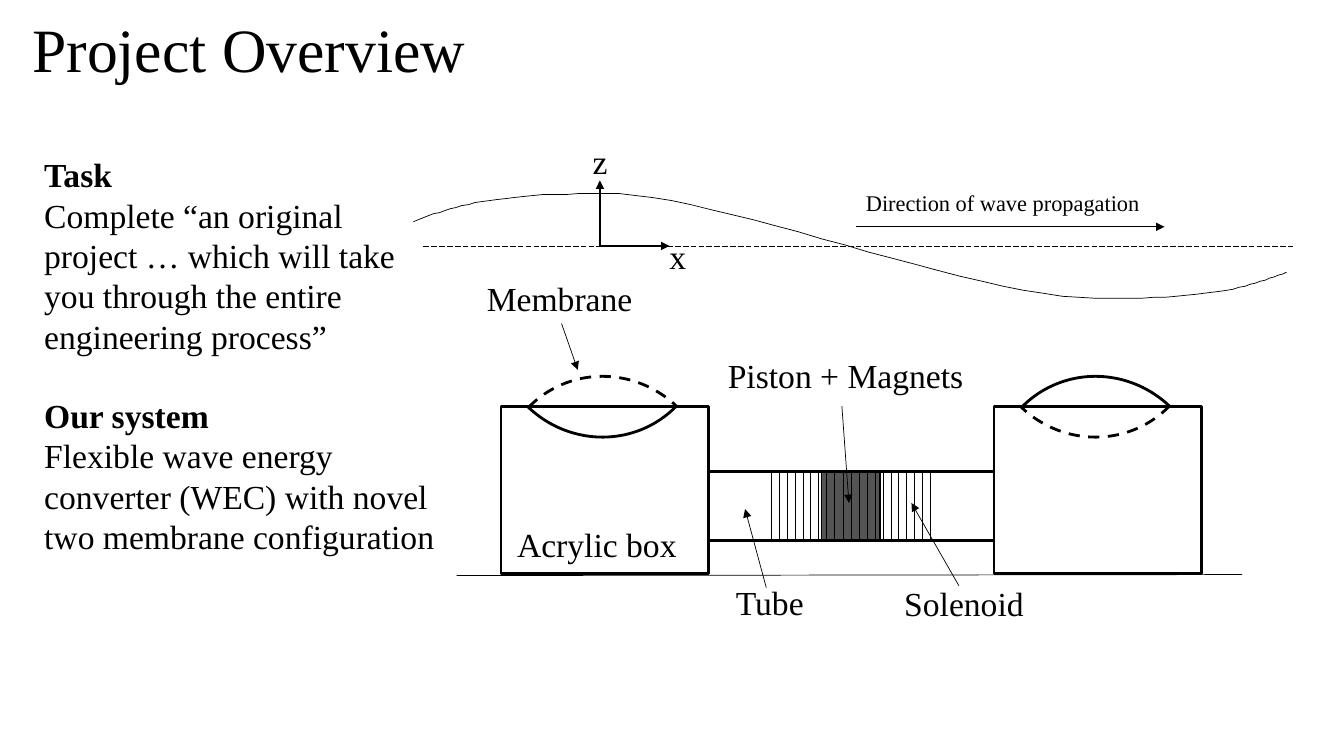
from dataclasses import dataclass

from lxml.etree import SubElement
from pptx import Presentation
from pptx.dml.color import RGBColor
from pptx.enum.dml import MSO_LINE
from pptx.enum.shapes import MSO_CONNECTOR, MSO_SHAPE
from pptx.enum.text import MSO_ANCHOR, MSO_AUTO_SIZE, PP_ALIGN
from pptx.oxml.ns import qn
from pptx.shapes.autoshape import Shape
from pptx.slide import Slide
from pptx.text.text import TextFrame
from pptx.util import Emu, Pt

PX = 9144  # EMU in one px, 100 px to the inch


@dataclass(frozen=True)
class Theme:
    font: str = "Times New Roman"
    ink: RGBColor = RGBColor(0, 0, 0)
    title_size: int = 44
    body_size: int = 24
    caption_size: int = 16
    thin: float = 0.5
    medium: float = 1
    thick: float = 2
    magnet_opacity: int = 67


THEME = Theme()


@dataclass(frozen=True)
class Box:
    left: int
    top: int
    width: int
    height: int

    def emu(self) -> tuple[Emu, ...]:
        return tuple(Emu(v * PX) for v in (self.left, self.top, self.width, self.height))


@dataclass(frozen=True)
class Label:
    box: Box
    text: str
    size: int = THEME.body_size
    bold_heading: bool = False


@dataclass(frozen=True)
class Stroke:
    start: tuple[int, int]
    end: tuple[int, int]
    weight: float = THEME.thin
    arrow: bool = False
    dash: MSO_LINE | None = None


@dataclass(frozen=True)
class Outline:
    box: Box
    kind: MSO_SHAPE = MSO_SHAPE.RECTANGLE
    rotation: float = 0
    weight: float = THEME.thick
    dash: MSO_LINE | None = None


TUBE = Outline(Box(703, 468, 283, 68))
MAGNETS = Outline(Box(815, 468, 58, 68), weight=THEME.medium)
UPPER_TURN, LOWER_TURN = 314.4, 133.8


def acrylic_box(left: int, raised_dash: MSO_LINE | None,
                sunken_dash: MSO_LINE | None) -> list[Outline]:
    """A box with its membrane in the raised and the sunken position."""
    return [
        Outline(Box(left, 403, 206, 166)),
        Outline(Box(left, 372, 206, 211), MSO_SHAPE.ARC, UPPER_TURN, dash=raised_dash),
        Outline(Box(left - 5, 224, 206, 211), MSO_SHAPE.ARC, LOWER_TURN, dash=sunken_dash),
    ]


OUTLINES = [TUBE, *acrylic_box(497, MSO_LINE.DASH, None), *acrylic_box(986, None, MSO_LINE.DASH)]

COIL_FIRST, COIL_LAST, COIL_TURNS = 765, 923, 21
COIL_XS = [round(COIL_FIRST + i * (COIL_LAST - COIL_FIRST) / (COIL_TURNS - 1))
           for i in range(COIL_TURNS)]
COIL = [Stroke((x, 467), (x, 535)) for x in COIL_XS]

ORIGIN = (595, 244)
STROKES = [
    Stroke((1232, 570), (453, 571)),  # sea floor
    Stroke(ORIGIN, (664, 244), THEME.thick, arrow=True),
    Stroke(ORIGIN, (595, 179), THEME.thick, arrow=True),
    Stroke((420, 244), (1282, 244), dash=MSO_LINE.LONG_DASH),  # still water
    Stroke((849, 225), (1155, 225), arrow=True),  # propagation
]
POINTERS = [
    Stroke((760, 583), (739, 505), arrow=True),  # tube
    Stroke((557, 321), (573, 367), arrow=True),  # membrane
    Stroke((951, 581), (904, 499), arrow=True),  # solenoid
    Stroke((835, 403), (842, 499), arrow=True),  # magnets
]

WAVE_START = (410, 220)
WAVE_CURVES = [
    ((450, 204), (489, 192), (600, 192)),
    ((710, 191), (961, 295), (1088, 296)),
    ((1215, 297), (1242, 282), (1276, 270)),
]
WAVE_STEPS = 24

LABELS = [
    Label(Box(34, 148, 407, 212),
          "Task\nComplete “an original project … which will take you through "
          "the entire engineering process”", bold_heading=True),
    Label(Box(34, 387, 407, 172),
          "Our system\nFlexible wave energy converter (WEC) with novel\n"
          "two membrane configuration", bold_heading=True),
    Label(Box(720, 572, 94, 54), "Tube"),
    Label(Box(503, 515, 193, 54), "Acrylic box"),
    Label(Box(473, 271, 178, 54), "Membrane"),
    Label(Box(654, 229, 26, 54), "x"),
    Label(Box(578, 135, 24, 54), "z"),
    Label(Box(849, 183, 317, 40), "Direction of wave propagation", THEME.caption_size),
    Label(Box(887, 573, 150, 54), "Solenoid"),
    Label(Box(712, 347, 275, 54), "Piston + Magnets"),
]


def style_text(frame: TextFrame, size: int) -> None:
    frame.word_wrap = True
    for paragraph in frame.paragraphs:
        paragraph.alignment = PP_ALIGN.LEFT
        for run in paragraph.runs:
            run.font.name = THEME.font
            run.font.size = Pt(size)
            run.font.color.rgb = THEME.ink


def add_title(slide: Slide, text: str, box: Box) -> None:
    title = slide.shapes.title
    title.left, title.top, title.width, title.height = box.emu()
    frame = title.text_frame
    frame.text = text
    frame.auto_size = MSO_AUTO_SIZE.NONE
    frame.vertical_anchor = MSO_ANCHOR.MIDDLE
    frame.paragraphs[0].line_spacing = 0.9
    style_text(frame, THEME.title_size)


def add_label(slide: Slide, label: Label) -> None:
    frame = slide.shapes.add_textbox(*label.box.emu()).text_frame
    frame.text = label.text
    frame.auto_size = MSO_AUTO_SIZE.SHAPE_TO_FIT_TEXT
    style_text(frame, label.size)
    if label.bold_heading:
        frame.paragraphs[0].runs[0].font.bold = True


def ink_outline(shape: Shape, weight: float, dash: MSO_LINE | None = None) -> None:
    shape.shadow.inherit = False
    shape.fill.background()
    shape.line.color.rgb = THEME.ink
    shape.line.width = Pt(weight)
    if dash is not None:
        shape.line.dash_style = dash


def add_outline(slide: Slide, outline: Outline) -> Shape:
    shape = slide.shapes.add_shape(outline.kind, *outline.box.emu())
    shape.rotation = outline.rotation
    ink_outline(shape, outline.weight, outline.dash)
    return shape


def add_magnets(slide: Slide) -> None:
    magnets = add_outline(slide, MAGNETS)
    magnets.fill.solid()
    magnets.fill.fore_color.rgb = THEME.ink
    colour = magnets.fill._xPr.find(qn("a:solidFill"))[0]
    SubElement(colour, qn("a:alpha"), val=str(THEME.magnet_opacity * 1000))


def add_stroke(slide: Slide, stroke: Stroke) -> None:
    ends = [Emu(v * PX) for v in (*stroke.start, *stroke.end)]
    connector = slide.shapes.add_connector(MSO_CONNECTOR.STRAIGHT, *ends)
    connector.line.color.rgb = THEME.ink
    connector.line.width = Pt(stroke.weight)
    if stroke.dash is not None:
        connector.line.dash_style = stroke.dash
    properties = connector._element.spPr
    if stroke.arrow:
        SubElement(properties.find(qn("a:ln")), qn("a:tailEnd"), type="triangle")
    SubElement(properties, qn("a:effectLst"))


def add_wave(slide: Slide) -> None:
    """Trace the cubic curves of the water surface as one open outline."""
    points, start = [], WAVE_START
    for first, second, end in WAVE_CURVES:
        for step in range(1, WAVE_STEPS + 1):
            t = step / WAVE_STEPS
            weights = ((1 - t) ** 3, 3 * t * (1 - t) ** 2, 3 * t * t * (1 - t), t ** 3)
            controls = (start, first, second, end)
            points.append(tuple(sum(w * c[axis] for w, c in zip(weights, controls))
                                for axis in (0, 1)))
        start = end
    builder = slide.shapes.build_freeform(*WAVE_START, scale=PX)
    builder.add_line_segments(points, close=False)
    ink_outline(builder.convert_to_shape(), THEME.thin)


def main() -> None:
    presentation = Presentation()
    presentation.slide_width, presentation.slide_height = Emu(1333 * PX), Emu(750 * PX)
    slide = presentation.slides.add_slide(presentation.slide_layouts.get_by_name("Title Only"))
    add_title(slide, "Project Overview", Box(22, -20, 1150, 145))
    for outline in OUTLINES:
        add_outline(slide, outline)
    add_wave(slide)
    for stroke in STROKES + COIL:
        add_stroke(slide, stroke)
    add_magnets(slide)
    for pointer in POINTERS:
        add_stroke(slide, pointer)
    for label in LABELS:
        add_label(slide, label)
    presentation.save("out.pptx")


if __name__ == "__main__":
    main()
